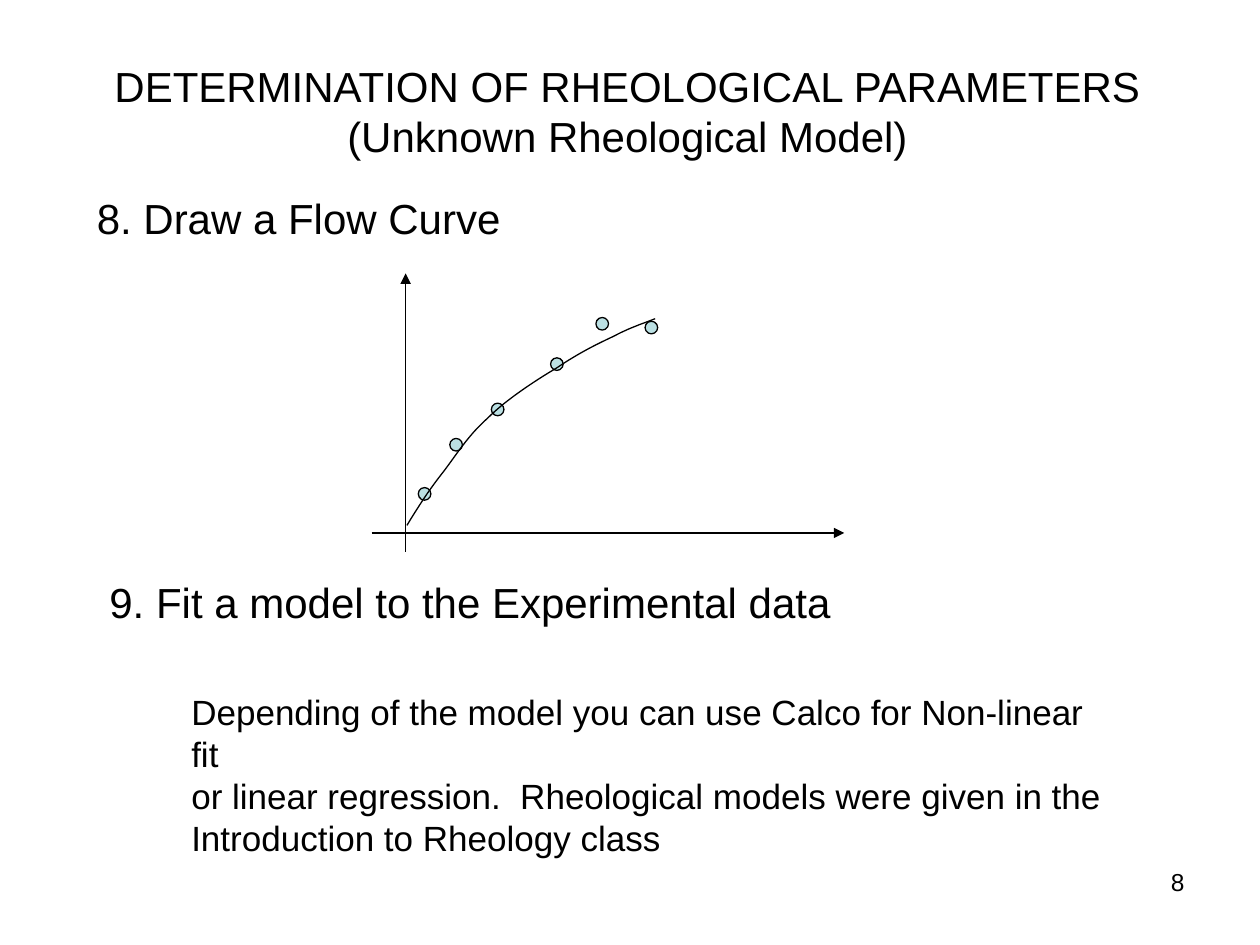
from lxml import etree
from pptx import Presentation
from pptx.dml.color import RGBColor
from pptx.enum.shapes import MSO_CONNECTOR as Conn, MSO_SHAPE as Shape
from pptx.enum.text import PP_ALIGN as Align
from pptx.oxml.ns import qn
from pptx.util import Inches, Pt

BLACK = RGBColor(0x00, 0x00, 0x00)
AQUA = RGBColor(0xBB, 0xE0, 0xE3)
FONT = "Arial"
DOT = 0.1
STEPS = 12

# Offsets in inches from the top left of the plot
ORIGIN = (0.27, 2.06)
DOTS = [(0.37, 1.7), (0.62, 1.31), (0.95, 1.03),
        (1.42, 0.67), (1.78, 0.35), (2.17, 0.38)]
START = (0.28, 2)
CURVE = [
    ((0.36, 1.87), (0.44, 1.74), (0.55, 1.6)),
    ((0.66, 1.46), (0.76, 1.29), (0.92, 1.15)),
    ((1.07, 1), (1.3, 0.85), (1.47, 0.75)),
    ((1.63, 0.64), (1.79, 0.56), (1.92, 0.5)),
    ((2.05, 0.43), (2.15, 0.4), (2.25, 0.36)),
]


def add_text(slide, box, lines, size, align=Align.LEFT):
    frame = slide.shapes.add_textbox(*map(Inches, box)).text_frame
    frame.word_wrap = True
    for i, line in enumerate(lines):
        para = frame.add_paragraph() if i else frame.paragraphs[0]
        para.alignment = align
        run = para.add_run()
        run.text = line
        run.font.name = FONT
        run.font.size = Pt(size)
        run.font.color.rgb = BLACK


def set_line(shape):
    shape.line.color.rgb = BLACK
    shape.line.width = Pt(0.75)


def add_axis(slide, start, end):
    axis = slide.shapes.add_connector(
        Conn.STRAIGHT, *map(Inches, start + end))
    set_line(axis)
    tail = etree.SubElement(axis.line._get_or_add_ln(), qn("a:tailEnd"))
    tail.set("type", "triangle")
    etree.SubElement(axis._element.spPr, qn("a:effectLst"))


def trace(start, parts):
    """Return points along a chain of cubic Bezier parts."""
    points = [start]
    for one, two, end in parts:
        for step in range(1, STEPS + 1):
            t = step / STEPS
            u = 1 - t
            points.append(tuple(
                u**3 * a + 3 * u * u * t * b + 3 * u * t * t * c + t**3 * d
                for a, b, c, d in zip(start, one, two, end)))
        start = end
    return points


def add_plot(slide, box):
    left, top, width, height = box
    x, y = left + ORIGIN[0], top + ORIGIN[1]
    add_axis(slide, (x, top + height), (x, top))
    add_axis(slide, (left, y), (left + width, y))

    for dx, dy in DOTS:
        dot = slide.shapes.add_shape(
            Shape.OVAL, *map(Inches, (left + dx, top + dy, DOT, DOT)))
        dot.shadow.inherit = False
        dot.fill.solid()
        dot.fill.fore_color.rgb = AQUA
        set_line(dot)

    points = [(Inches(left + px), Inches(top + py))
              for px, py in trace(START, CURVE)]
    pen = slide.shapes.build_freeform(*points[0])
    pen.add_line_segments(points[1:], close=False)
    curve = pen.convert_to_shape()
    curve.shadow.inherit = False
    curve.fill.background()
    set_line(curve)


def main():
    deck = Presentation()
    deck.slide_width, deck.slide_height = Inches(10), Inches(7.5)
    slide = deck.slides.add_slide(deck.slide_layouts[6])

    add_text(slide, (0.78, 0.43, 8.4, 0.9),
             ["DETERMINATION OF RHEOLOGICAL PARAMETERS",
              "(Unknown Rheological Model)"], 24, Align.CENTER)
    add_text(slide, (0.67, 1.48, 3.5, 0.5), ["8. Draw a Flow Curve"], 24)
    add_plot(slide, (2.95, 2.17, 3.75, 2.21))
    add_text(slide, (0.77, 4.53, 6.02, 0.5),
             ["9. Fit a model to the Experimental data"], 24)
    add_text(slide, (1.42, 5.43, 7.53, 1.1),
             ["Depending of the model you can use Calco for Non-linear fit",
              "or linear regression.  Rheological models were given in the",
              "Introduction to Rheology class"], 20)
    add_text(slide, (7.17, 6.83, 2.33, 0.52), ["8"], 14, Align.RIGHT)

    deck.save("out.pptx")


if __name__ == "__main__":
    main()
